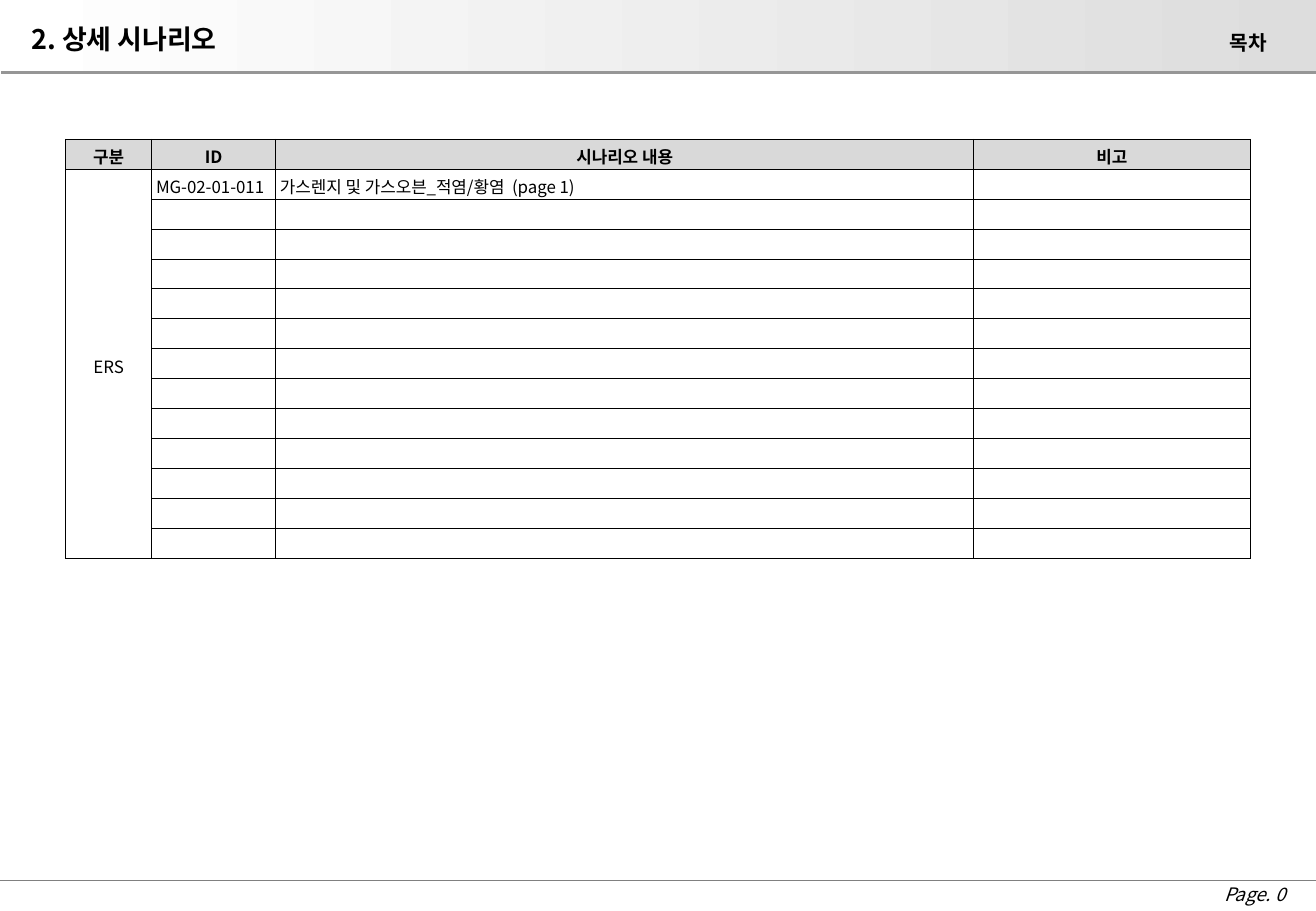
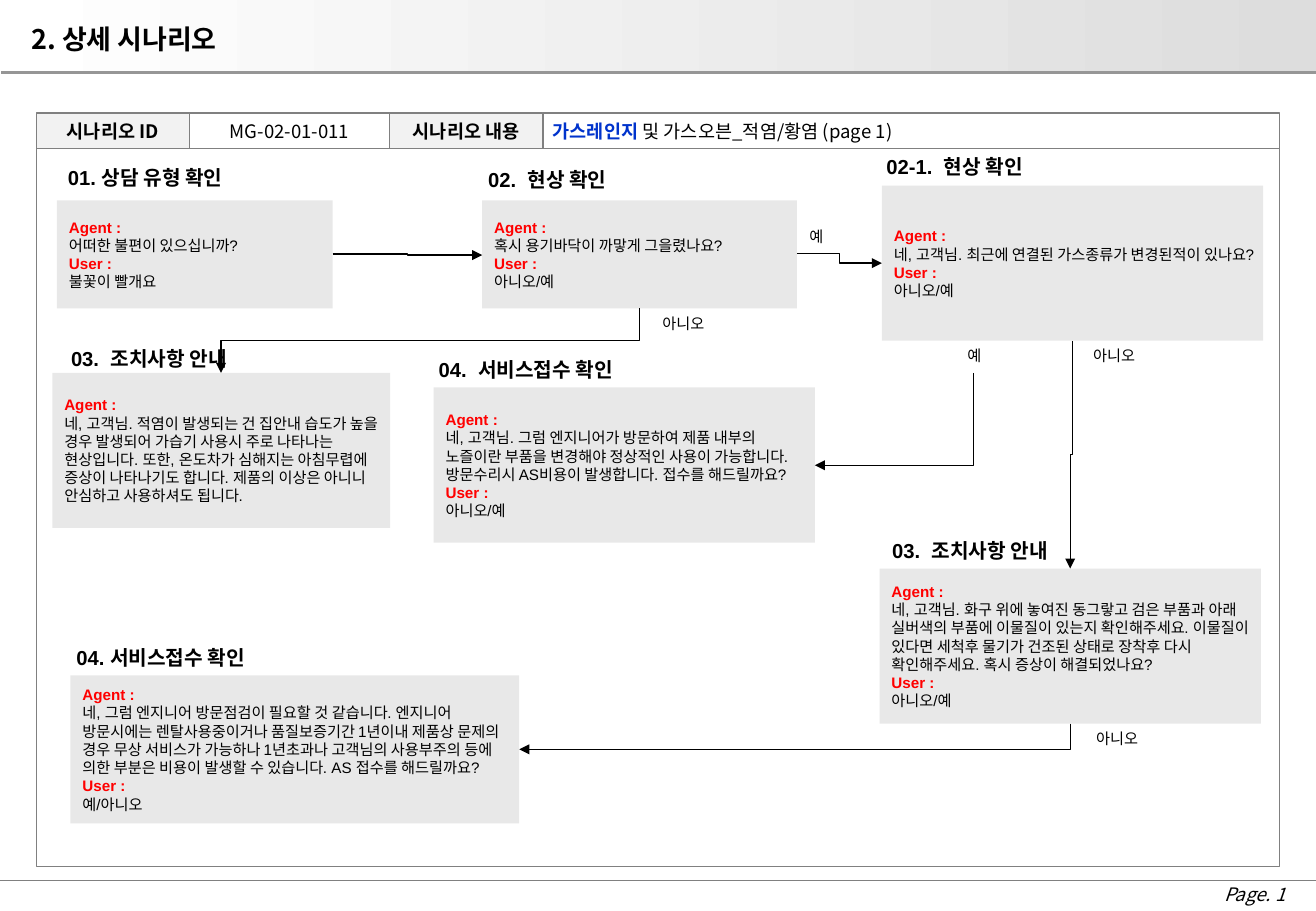
from lxml import etree
from pptx import Presentation
from pptx.dml.color import RGBColor
from pptx.enum import shapes, text
from pptx.oxml.ns import qn
from pptx.util import Pt

KOREAN, LATIN = "Noto Sans CJK KR", "Arial"
BLACK, RED, BLUE, WHITE = "000000", "FF0000", "0033CC", "FFFFFF"
GRAY, RULE, HEAD_FILL, LABEL_FILL, BOX_FILL = "808080", "969696", "D9D9D9", "F2F2F2", "E8E8E8"
WIDTH, HEIGHT = 780, 540
LEFT, CENTER, RIGHT = text.PP_ALIGN.LEFT, text.PP_ALIGN.CENTER, text.PP_ALIGN.RIGHT

SECTION = "2. 상세 시나리오"
CONTENTS = "목차"
TABLE_HEAD = ["구분", "ID", "시나리오 내용", "비고"]
TABLE_ROW = ["ERS", "MG-02-01-011", "가스렌지 및 가스오븐_적염/황염  (page 1)"]
TABLE_WIDTHS = [51, 73.5, 413.7, 164]
TABLE_ROWS, ROW_HEIGHT = 14, 17.75

INFO_BAR = [
    (90.7, LABEL_FILL, CENTER, [("시나리오 ID", BLACK, True)]),
    (118.8, None, CENTER, [("MG-02-01-011", BLACK, False)]),
    (90.7, LABEL_FILL, CENTER, [("시나리오 내용", BLACK, True)]),
    (436.8, None, LEFT, [("가스레인지 ", BLUE, True), ("및 가스오븐_적염/황염 (page 1)", BLACK, False)]),
]

STEPS = [
    ("01. 상담 유형 확인", (27.4, 94.3, 117.4), (33.8, 118.8, 163.4, 64),
     "어떠한 불편이 있으십니까?", "불꽃이 빨개요"),
    ("02.  현상 확인", (279.4, 95.8, 90), (285.8, 118.8, 186.5, 64),
     "혹시 용기바닥이 까맣게 그을렸나요?", "아니오/예"),
    ("02-1.  현상 확인", (515.5, 87.8, 100.8), (522.7, 110, 226, 92),
     "네, 고객님. 최근에 연결된 가스종류가 변경된적이 있나요?", "아니오/예"),
    ("03.  조치사항 안내", (31, 201.6, 114.5), (31, 221, 200.2, 92),
     "네, 고객님. 적염이 발생되는 건 집안내 습도가 높을 경우 발생되어 가습기 사용시 주로 나타나는 "
     "현상입니다. 또한, 온도차가 심해지는 아침무렵에 증상이 나타나기도 합니다. 제품의 이상은 아니니 "
     "안심하고 사용하셔도 됩니다.", None),
    ("04.  서비스접수 확인", (248.4, 208, 126.7), (257, 229.7, 226, 92),
     "네, 고객님. 그럼 엔지니어가 방문하여 제품 내부의 노즐이란 부품을 변경해야 정상적인 사용이 "
     "가능합니다. 방문수리시 AS비용이 발생합니다. 접수를 해드릴까요?", "아니오/예"),
    ("03.  조치사항 안내", (517.7, 315.4, 114.5), (521.3, 337, 226, 92),
     "네, 고객님. 화구 위에 놓여진 동그랗고 검은 부품과 아래 실버색의 부품에 이물질이 있는지 "
     "확인해주세요. 이물질이 있다면 세척후 물기가 건조된 상태로 장착후 다시 확인해주세요. 혹시 증상이 "
     "해결되었나요?", "아니오/예"),
    ("04. 서비스접수 확인", (33.8, 378.7, 123), (41.8, 400.3, 266, 87.8),
     "네, 그럼 엔지니어 방문점검이 필요할 것 같습니다. 엔지니어 방문시에는 렌탈사용중이거나 "
     "품질보증기간 1년이내 제품상 문제의 경우 무상 서비스가 가능하나 1년초과나 고객님의 사용부주의 "
     "등에 의한 부분은 비용이 발생할 수 있습니다. AS 접수를 해드릴까요?", "예/아니오"),
]

ARROWS = [
    ("across", 197.2, 150.5, 285.8, 151.2),
    ("across", 472.3, 150.5, 522.7, 156),
    ("down", 379, 182.8, 131, 221),
    ("down", 635.8, 202, 634.3, 337),
    ("turn", 577, 221, 483, 275.8),
    ("turn", 634.3, 429, 307.8, 444.2),
]

ANSWERS = [
    ("예", 472.3, 131, 23),
    ("아니오", 378.7, 182.8, 52.6),
    ("예", 566, 202, 23),
    ("아니오", 635.8, 202, 49),
    ("아니오", 635.8, 429, 52.6),
]


def color(value):
    return RGBColor.from_string(value)


def add_run(paragraph, words, size, font=KOREAN, ink=BLACK, bold=False, italic=False):
    run = paragraph.add_run()
    run.text = words
    run.font.size, run.font.name = Pt(size), font
    run.font.bold, run.font.italic = bold, italic
    run.font.color.rgb = color(ink)
    etree.SubElement(run.font._element, qn("a:ea"), typeface=KOREAN)


def add_label(slide, words, left, top, width, height, size, align=LEFT, wrap=True, spacing=None, **style):
    frame = slide.shapes.add_textbox(Pt(left), Pt(top), Pt(width), Pt(height)).text_frame
    frame.word_wrap = wrap
    paragraph = frame.paragraphs[0]
    paragraph.alignment = align
    if spacing:
        paragraph.line_spacing = Pt(spacing)
    add_run(paragraph, words, size, **style)


def add_box(slide, left, top, width, height, fill=None, line=None):
    shape = slide.shapes.add_shape(shapes.MSO_SHAPE.RECTANGLE, Pt(left), Pt(top), Pt(width), Pt(height))
    shape.shadow.inherit = False
    if fill:
        shape.fill.solid()
        shape.fill.fore_color.rgb = color(fill)
    else:
        shape.fill.background()
    if line:
        shape.line.color.rgb = color(line)
        shape.line.width = Pt(0.75)
    else:
        shape.line.fill.background()
    shape.text_frame.vertical_anchor = text.MSO_ANCHOR.MIDDLE
    return shape


def add_line(slide, x1, y1, x2, y2, ink, weight, kind=shapes.MSO_CONNECTOR.STRAIGHT):
    line = slide.shapes.add_connector(kind, Pt(x1), Pt(y1), Pt(x2), Pt(y2))
    line.line.color.rgb = color(ink)
    line.line.width = Pt(weight)
    etree.SubElement(line._element.spPr, qn("a:effectLst"))
    return line


def add_arrow(slide, route, x1, y1, x2, y2):
    ends = x1, y1, x2, y2
    if route != "across":
        middle_x, middle_y = (x1 + x2) / 2, (y1 + y2) / 2
        half_run, half_drop = (y2 - y1) / 2, (x1 - x2) / 2
        ends = middle_x - half_run, middle_y - half_drop, middle_x + half_run, middle_y + half_drop
    arrow = add_line(slide, *ends, BLACK, 0.75, shapes.MSO_CONNECTOR.ELBOW)
    properties = arrow._element.spPr
    if route != "across":
        properties.find(qn("a:xfrm")).set("rot", "5400000")
    if route == "turn":
        properties.find(qn("a:prstGeom")).set("prst", "bentConnector2")
    etree.SubElement(properties.find(qn("a:ln")), qn("a:tailEnd"), type="triangle")


def add_page(presentation, number):
    slide = presentation.slides.add_slide(presentation.slide_layouts[6])
    add_label(slide, f"Page. {number}", 717.5, 519.8, 52.6, 20.2, 11, CENTER, wrap=False, italic=True)
    add_line(slide, 0, 522, WIDTH, 522, GRAY, 0.75)
    band = add_box(slide, 3.6, 0, WIDTH - 3.6, 43, WHITE)
    band.fill.gradient()
    band.fill.gradient_angle = 0
    for stop, shade in zip(band.fill.gradient_stops, (WHITE, "DDDDDD")):
        stop.color.rgb = color(shade)
    add_line(slide, 0.7, 43, WIDTH, 43, RULE, 2)
    add_label(slide, SECTION, 11.5, 10, 395, 30, 16, bold=True)
    return slide


def style_cell(cell, words, heading, align):
    cell.margin_left = cell.margin_right = cell.margin_top = Pt(2.6)
    cell.margin_bottom = 0
    cell.vertical_anchor = text.MSO_ANCHOR.MIDDLE
    if heading:
        cell.fill.solid()
        cell.fill.fore_color.rgb = color(HEAD_FILL)
    else:
        cell.fill.background()
    paragraph = cell.text_frame.paragraphs[0]
    paragraph.alignment = align
    if words:
        add_run(paragraph, words, 10, bold=heading)
    else:
        etree.SubElement(paragraph._p, qn("a:endParaRPr"), sz="1000")
    properties = cell._tc.get_or_add_tcPr()
    for index, side in enumerate(("lnL", "lnR", "lnT", "lnB")):
        border = etree.Element(qn(f"a:{side}"), w=str(Pt(0.5)))
        fill = etree.SubElement(border, qn("a:solidFill"))
        etree.SubElement(fill, qn("a:srgbClr"), val=BLACK)
        properties.insert(index, border)


def add_scenario_table(slide):
    table = slide.shapes.add_table(TABLE_ROWS, len(TABLE_WIDTHS), Pt(38.9), Pt(82.5),
                                   Pt(sum(TABLE_WIDTHS)), Pt(TABLE_ROWS * ROW_HEIGHT)).table
    table.first_row = table.horz_banding = False
    for column, width in zip(table.columns, TABLE_WIDTHS):
        column.width = Pt(width)
    contents = {0: TABLE_HEAD, 1: TABLE_ROW}
    for r, row in enumerate(table.rows):
        row.height = Pt(ROW_HEIGHT)
        for c, cell in enumerate(row.cells):
            words = dict(enumerate(contents.get(r, []))).get(c)
            style_cell(cell, words, r == 0, CENTER if r == 0 or c == 0 else LEFT)
    table.cell(1, 0).merge(table.cell(TABLE_ROWS - 1, 0))


def add_info_bar(slide):
    left = 21.6
    for width, fill, align, runs in INFO_BAR:
        frame = add_box(slide, left, 67, width, 20.9, fill, GRAY).text_frame
        frame.margin_left = frame.margin_right = Pt(5.8)
        frame.margin_top = frame.margin_bottom = Pt(2.9)
        paragraph = frame.paragraphs[0]
        paragraph.alignment = align
        for words, ink, bold in runs:
            add_run(paragraph, words, 11, ink=ink, bold=bold)
        left += width
    add_box(slide, 21.6, 87.9, 737, 426, line=GRAY)


def add_step(slide, title, title_place, box_place, agent, user):
    frame = add_box(slide, *box_place, BOX_FILL).text_frame
    lines = [("Agent :", RED, True), (agent, BLACK, False)]
    if user:
        lines += [("User :", RED, True), (user, BLACK, False)]
    for index, (words, ink, bold) in enumerate(lines):
        paragraph = frame.add_paragraph() if index else frame.paragraphs[0]
        paragraph.alignment = LEFT
        paragraph.line_spacing = Pt(10.8)
        add_run(paragraph, words, 9, LATIN, ink, bold)
    add_label(slide, title, *title_place, 21.6, 12, CENTER, wrap=False, spacing=14.4, font=LATIN, bold=True)


def main():
    presentation = Presentation()
    presentation.slide_width, presentation.slide_height = Pt(WIDTH), Pt(HEIGHT)

    contents = add_page(presentation, 0)
    add_label(contents, CONTENTS, 363, 14.4, 395, 22.3, 12, RIGHT, bold=True)
    add_scenario_table(contents)

    scenario = add_page(presentation, 1)
    add_info_bar(scenario)
    for step in STEPS:
        add_step(scenario, *step)
    for arrow in ARROWS:
        add_arrow(scenario, *arrow)
    for words, left, top, width in ANSWERS:
        add_label(scenario, words, left, top, width, 19.4, 9, CENTER)

    presentation.save("out.pptx")


if __name__ == "__main__":
    main()
